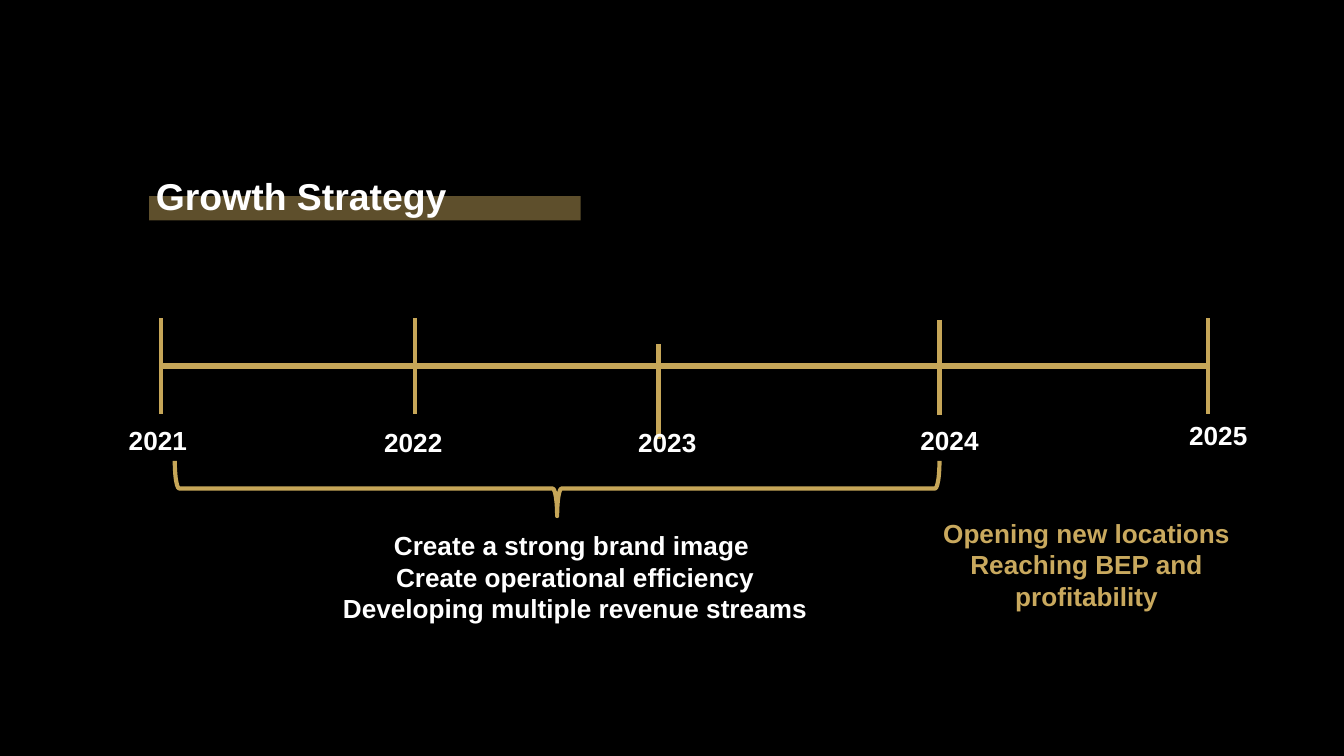
from dataclasses import dataclass

from lxml.etree import SubElement
from pptx import Presentation
from pptx.dml.color import RGBColor as RGB
from pptx.enum.shapes import MSO_CONNECTOR as CONN, MSO_SHAPE as SHAPE
from pptx.enum.text import MSO_ANCHOR as ANCHOR, MSO_AUTO_SIZE as FIT, PP_ALIGN as ALIGN
from pptx.oxml.ns import qn
from pptx.util import Inches, Pt


@dataclass(frozen=True)
class Theme:
    back: RGB = RGB(0, 0, 0)
    text: RGB = RGB(255, 255, 255)
    gold: RGB = RGB(0xC9, 0xA9, 0x5E)
    line: RGB = RGB(0xC6, 0xA6, 0x58)
    font: str = "Arial"
    title: int = 20
    body: int = 14
    axis: float = 3
    tick: float = 2.25


T = Theme()
COLS, ROWS = 100, 56.25
CELL = 0.1
HIGHLIGHT_ALPHA = 47000
INDENT = Inches(0.31)

YEARS = [
    ("2021", 0, 0, -3.4, 7.4),
    ("2022", 18.9, 0, 15.6, 7.5),
    ("2023", 37, 1.9, 34.5, 7.5),
    ("2024", 57.9, 0.1, 55.5, 7.4),
    ("2025", 77.9, 0, 75.5, 7),
]
BUILD_GOALS = [
    "Create a strong brand image ",
    "Create operational efficiency",
    "Developing multiple revenue streams",
]
EXPANSION_GOALS = ["Opening new locations", "Reaching BEP and profitability"]


def grid(*cells):
    return [Inches(c * CELL) for c in cells]


def apply(obj, values):
    for name, value in values.items():
        setattr(obj, name, value)


def write(sp, box, lines, size, color, align=ALIGN.LEFT, wrap=True):
    apply(sp, dict(zip(("left", "top", "width", "height"), grid(*box))))
    tf = sp.text_frame
    apply(tf, {"word_wrap": wrap, "auto_size": FIT.NONE, "vertical_anchor": ANCHOR.TOP})
    for i, line in enumerate(lines):
        p = tf.paragraphs[0] if i == 0 else tf.add_paragraph()
        apply(p, {"alignment": align, "space_before": Pt(0), "line_spacing": 1.0})
        r = p.add_run()
        r.text = line
        apply(r.font, {"name": T.font, "size": Pt(size), "bold": True})
        r.font.color.rgb = color
    return tf


def draw_line(shapes, x1, y1, x2, y2, width):
    c = shapes.add_connector(CONN.STRAIGHT, *grid(x1, y1, x2, y2))
    c.line.color.rgb = T.line
    c.line.width = Pt(width)
    SubElement(c._element.spPr, qn("a:effectLst"))


def add_heading(s, box, text):
    x, y, w, h = box
    bar = s.shapes.add_shape(SHAPE.RECTANGLE, *grid(x, y, w, h))
    bar.shadow.inherit = False
    bar.line.fill.background()
    bar.fill.solid()
    bar.fill.fore_color.rgb = T.gold
    color = bar.fill._xPr.find(qn("a:solidFill"))[0]
    SubElement(color, qn("a:alpha"), val=str(HIGHLIGHT_ALPHA))
    title = s.shapes.title
    write(title, (x - 0.5, y - 2.2, 76.9, 4.2), [text], T.title, T.text)
    s.shapes._spTree.append(title._element)


def add_timeline(s, box, years):
    x, y, w, h = box
    shapes = s.shapes.add_group_shape().shapes
    draw_line(shapes, x, y + h / 2, x + w, y + h / 2, T.axis)
    for year, tick_x, tick_y, label_x, label_y in years:
        draw_line(shapes, x + tick_x, y + tick_y, x + tick_x, y + tick_y + h, T.tick)
        label = shapes.add_textbox(0, 0, 0, 0)
        write(label, (x + label_x, y + label_y, 6.7, 3.4), [year], T.body, T.text)


def add_brace(s, box):
    x, y, w, h = box
    left, top = x + (w - h) / 2, y + (h - w) / 2
    brace = s.shapes.add_shape(SHAPE.RIGHT_BRACE, *grid(left, top, h, w))
    brace.rotation = 90
    brace.adjustments[0] = 0.08
    brace.shadow.inherit = False
    brace.fill.background()
    brace.line.color.rgb = T.line
    brace.line.width = Pt(T.tick)


def add_goals(sp, box, goals, color):
    tf = write(sp, box, goals, T.body, color, ALIGN.CENTER)
    for p in tf.paragraphs:
        pPr = p._p.get_or_add_pPr()
        pPr.set("marL", str(INDENT))
        pPr.set("indent", str(-INDENT))
        SubElement(SubElement(pPr, qn("a:buClr")), qn("a:srgbClr"), val=str(T.back))
        SubElement(pPr, qn("a:buChar"), char="-")


def build_growth_slide(prs):
    s = prs.slides.add_slide(prs.slide_layouts[3])
    s.background.fill.solid()
    s.background.fill.fore_color.rgb = T.back
    add_heading(s, (11.1, 14.6, 32.1, 1.8), "Growth Strategy")
    add_timeline(s, (12, 23.7, 77.9, 7.1), YEARS)
    add_brace(s, (13, 34.3, 56.9, 4.1))
    add_goals(s.placeholders[1], (12.7, 38.9, 57.1, 10.4), BUILD_GOALS, T.text)
    add_goals(s.placeholders[2], (65.6, 38, 27.4, 8.1), EXPANSION_GOALS, T.gold)


def main():
    prs = Presentation()
    prs.slide_width, prs.slide_height = grid(COLS, ROWS)
    build_growth_slide(prs)
    prs.save("out.pptx")


if __name__ == "__main__":
    main()
